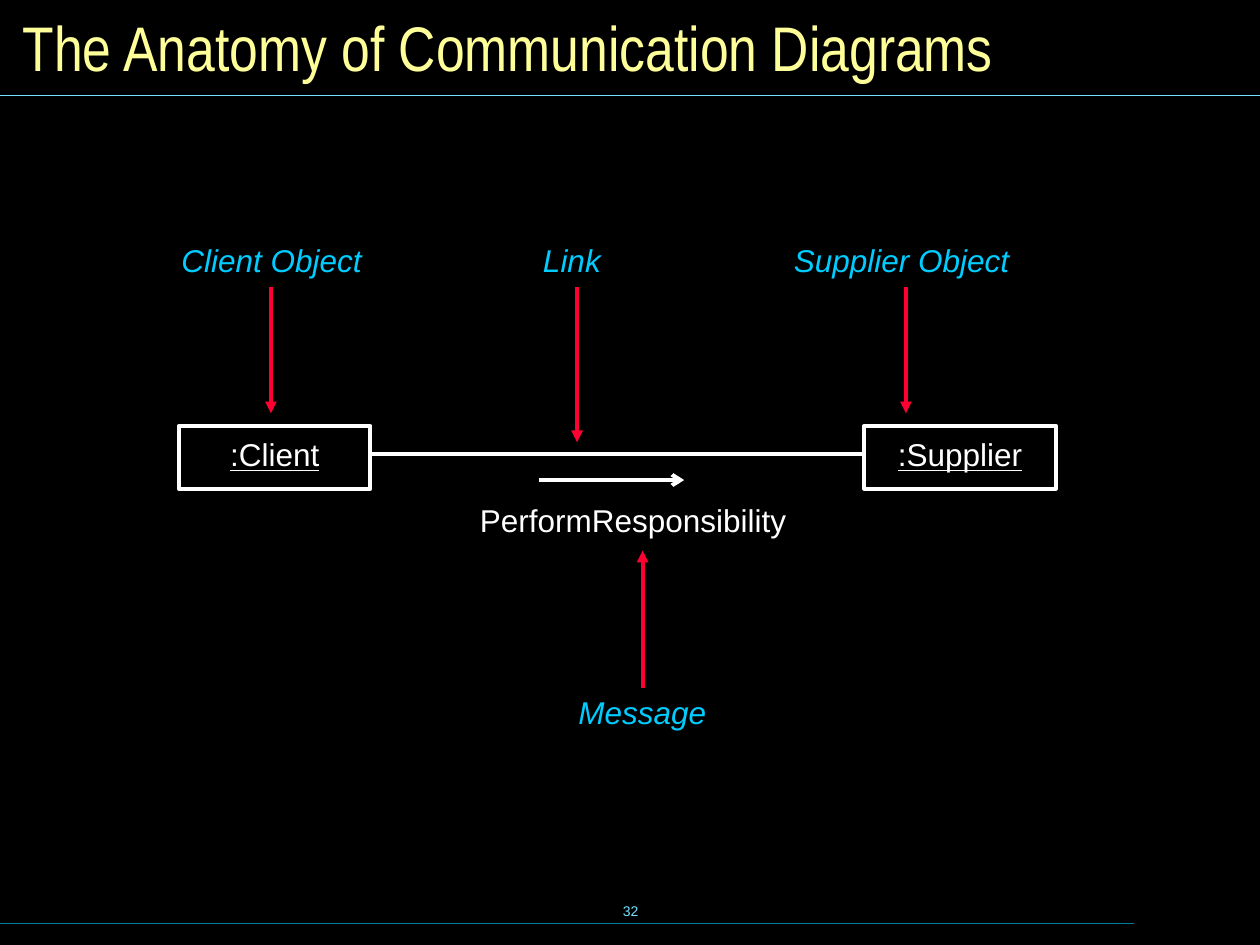
"""Build a slide that labels the parts of a communication diagram."""
from lxml import etree
from pptx import Presentation
from pptx.dml.color import RGBColor
from pptx.enum import shapes, text
from pptx.oxml import ns
from pptx.util import Inches, Pt

COLOURS = {
    "background": "000000", "title": "FFFF99", "rule": "73E1FF",
    "footer rule": "007E9F", "label": "00CCFF", "pointer": "FF0033",
    "diagram": "FFFFFF",
}


def write(shape, words, size=18, colour="label", font="Arial", italic=False,
          underline=False, align=text.PP_ALIGN.LEFT, wrap=False,
          anchor=text.MSO_ANCHOR.TOP, insets=(0, 0, 0, 0)):
    """Fill a shape with one formatted paragraph."""
    frame = shape.text_frame
    frame.auto_size = text.MSO_AUTO_SIZE.NONE
    frame.word_wrap = wrap
    frame.vertical_anchor = anchor
    (frame.margin_left, frame.margin_top,
     frame.margin_right, frame.margin_bottom) = [Inches(i) for i in insets]
    para = frame.paragraphs[0]
    para.alignment = align
    span = para.add_run()
    span.text = words
    span.font.name = font
    span.font.size = Pt(size)
    span.font.italic = italic
    span.font.underline = underline
    span.font.color.rgb = RGBColor.from_string(COLOURS[colour])


def draw_line(page, start, end, colour, width=2.25, head=None):
    """Draw a straight line, with an arrowhead at its end if one is named."""
    line = page.shapes.add_connector(
        shapes.MSO_CONNECTOR.STRAIGHT, *[Inches(v) for v in (*start, *end)])
    line.line.color.rgb = RGBColor.from_string(COLOURS[colour])
    line.line.width = Pt(width)
    if head:
        etree.SubElement(line.line._get_or_add_ln(), ns.qn("a:tailEnd"), type=head)
    etree.SubElement(line._element.spPr, ns.qn("a:effectLst"))


deck = Presentation()
deck.slide_width, deck.slide_height = Inches(10), Inches(7.5)
page = deck.slides.add_slide(deck.slide_layouts[5])
page.background.fill.solid()
page.background.fill.fore_color.rgb = RGBColor.from_string(COLOURS["background"])

title = page.shapes.title
title.left, title.top = Inches(0.08), Inches(0.08)
title.width, title.height = Inches(9.84), Inches(0.58)
write(title, "The Anatomy of Communication Diagrams", size=36, colour="title",
      font="Arial Narrow", wrap=True, anchor=text.MSO_ANCHOR.MIDDLE,
      insets=(0.1, 0.05, 0.1, 0.05))

draw_line(page, (0, 0.76), (10, 0.76), "rule", width=0.75)
draw_line(page, (0, 7.33), (9, 7.33), "footer rule", width=0.75)
number = page.shapes.add_textbox(Inches(3.42), Inches(6.98), Inches(3.17), Inches(0.5))
write(number, "32", size=8, colour="rule", align=text.PP_ALIGN.CENTER,
      anchor=text.MSO_ANCHOR.MIDDLE, insets=(0.1, 0.05, 0.1, 0.05))

for name, left in ((":Client", 1.42), (":Supplier", 6.86)):
    box = page.shapes.add_shape(shapes.MSO_SHAPE.RECTANGLE, Inches(left),
                                Inches(3.38), Inches(1.52), Inches(0.5))
    box.shadow.inherit = False
    box.fill.background()
    box.line.color.rgb = RGBColor.from_string(COLOURS["diagram"])
    box.line.width = Pt(2.25)
    write(box, name, colour="diagram", underline=True,
          align=text.PP_ALIGN.CENTER, anchor=text.MSO_ANCHOR.MIDDLE,
          insets=(0, 0, 0, 0.05))

draw_line(page, (2.95, 3.6), (6.87, 3.6), "diagram")
draw_line(page, (4.28, 3.81), (5.43, 3.81), "diagram", head="arrow")
message = page.shapes.add_textbox(Inches(3.81), Inches(3.98), Inches(2.57), Inches(0.3))
write(message, "PerformResponsibility", colour="diagram", wrap=True)

callouts = (
    ("Client Object", 1.44, 1.91, 1.43, 2.15, 2.28, 3.28),
    ("Link", 4.31, 1.91, 0.46, 4.58, 2.28, 3.51),
    ("Supplier Object", 6.3, 1.91, 1.71, 7.19, 2.28, 3.28),
    ("Message", 4.59, 5.5, 1.02, 5.1, 5.46, 4.37),
)
for words, left, top, width, x, start, end in callouts:
    label = page.shapes.add_textbox(Inches(left), Inches(top), Inches(width), Inches(0.3))
    write(label, words, italic=True)
    draw_line(page, (x, start), (x, end), "pointer", head="triangle")

deck.save("out.pptx")
